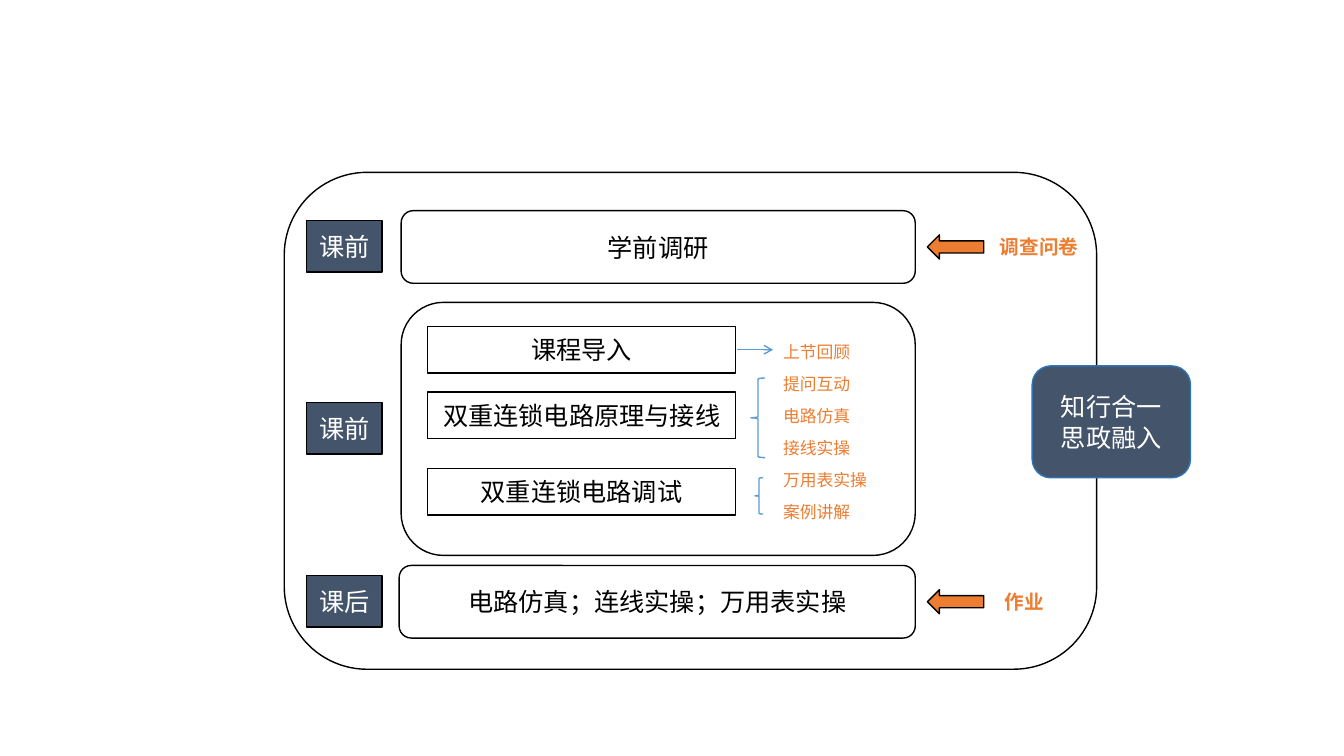
from collections import namedtuple
from dataclasses import dataclass

from pptx import Presentation
from pptx.dml.color import RGBColor
from pptx.enum import shapes, text
from pptx.oxml.ns import qn
from pptx.util import Inches, Pt
from lxml import etree

Box = namedtuple("Box", "left top width height")
SHAPE = shapes.MSO_SHAPE
CELL = Inches(0.1)


@dataclass(frozen=True)
class Theme:
    """Colours, type sizes and line width of the slide."""
    font: str = "Arial"
    ink: str = "000000"
    paper: str = "FFFFFF"
    navy: str = "44546A"
    edge: str = "2E75B6"
    orange: str = "ED7D31"
    blue: str = "5B9BD5"
    heading: int = 18
    caption: int = 14
    note: int = 12
    stroke: int = 1


THEME = Theme()


def grid(*cells):
    """Turn counts of grid cells into lengths."""
    return [round(cell * CELL) for cell in cells]


def inside(box, left, top, width, height):
    """Place a part relative to the corner of its region."""
    return Box(box.left + left, box.top + top, width, height)


def write(frame, words, size=THEME.heading, color=THEME.ink, bold=False, centred=True):
    """Fill a text frame, one paragraph per line of words."""
    frame.word_wrap = True
    frame.vertical_anchor = text.MSO_ANCHOR.MIDDLE if centred else text.MSO_ANCHOR.TOP
    for index, line in enumerate(words.split("\n")):
        paragraph = frame.add_paragraph() if index else frame.paragraphs[0]
        paragraph.alignment = text.PP_ALIGN.CENTER if centred else text.PP_ALIGN.LEFT
        run = paragraph.add_run()
        run.text = line
        run.font.name, run.font.size, run.font.bold = THEME.font, Pt(size), bold
        run.font.color.rgb = RGBColor.from_string(color)


def draw(slide, kind, box, words="", fill=None, line=THEME.ink, color=THEME.ink):
    """Draw a flat outlined shape with optional fill and words."""
    part = slide.shapes.add_shape(kind, *grid(*box))
    part.shadow.inherit = False
    if fill:
        part.fill.solid()
        part.fill.fore_color.rgb = RGBColor.from_string(fill)
    else:
        part.fill.background()
    part.line.color.rgb = RGBColor.from_string(line)
    part.line.width = Pt(THEME.stroke)
    if words:
        write(part.text_frame, words, color=color)


def label(slide, box, words, size, bold=False):
    """Write an orange left-aligned label."""
    frame = slide.shapes.add_textbox(*grid(*box)).text_frame
    write(frame, words, size, THEME.orange, bold, centred=False)


def link(slide, left, right, row):
    """Draw a level arrow between two columns."""
    arrow = slide.shapes.add_connector(
        shapes.MSO_CONNECTOR.STRAIGHT, *grid(left, row, right, row))
    arrow.line.color.rgb = RGBColor.from_string(THEME.blue)
    arrow.line.width = Pt(THEME.stroke)
    etree.SubElement(arrow.line._get_or_add_ln(), qn("a:tailEnd"), type="arrow")
    etree.SubElement(arrow._element.spPr, qn("a:effectLst"))


def stage_tag(slide, box, words):
    """Name the stage left of its region."""
    tag = Box(30.4, box.top + box.height / 2 - 2.6, 7.5, 5.1)
    draw(slide, SHAPE.RECTANGLE, tag, words, THEME.navy, color=THEME.paper)


def outer_stage(slide, box, stage, activity, source, source_left):
    """Draw a stage before or after class with its source."""
    middle = box.height / 2
    draw(slide, SHAPE.ROUNDED_RECTANGLE, box, activity)
    stage_tag(slide, box, stage)
    draw(slide, SHAPE.LEFT_ARROW,
         inside(box, box.width + 1.2, middle - 1.2, 5.6, 2.4), fill=THEME.orange)
    label(slide, inside(box, source_left - box.left, middle - 1.7, 34, 3.4),
          source, THEME.caption, bold=True)


def lesson_stage(slide, box, stage, steps, methods, braces):
    """Draw the lesson steps and the methods tied to them."""
    draw(slide, SHAPE.ROUNDED_RECTANGLE, box)
    stage_tag(slide, box, stage)
    for top, step in steps:
        draw(slide, SHAPE.RECTANGLE, inside(box, 2.6, top, 30.6, 4.6), step)
    link(slide, box.left + 33.3, box.left + 36.9, box.top + 4.7)
    for brace in braces:
        draw(slide, SHAPE.LEFT_BRACE, inside(box, *brace), line=THEME.blue)
    for index, method in enumerate(methods):
        label(slide, inside(box, 36.9, 3.4 + 3.18 * index, 44.4, 3),
              method, THEME.note)


def course_frame(slide, box, motto):
    """Draw the frame of the course and the motto on its edge."""
    draw(slide, SHAPE.ROUNDED_RECTANGLE, box)
    draw(slide, SHAPE.ROUNDED_RECTANGLE,
         inside(box, box.width - 6.4, 19.2, 15.7, 11.1), motto,
         THEME.navy, THEME.edge, THEME.paper)


def main():
    """Build and save the course slide."""
    deck = Presentation()
    deck.slide_width, deck.slide_height = grid(133.33, 75)
    slide = deck.slides.add_slide(deck.slide_layouts[6])
    course_frame(slide, Box(28.2, 17.1, 80.6, 49.3), "知行合一\n思政融入")
    outer_stage(slide, Box(39.8, 20.9, 51, 7.2), "课前", "学前调研", "调查问卷", 98.2)
    lesson_stage(
        slide, Box(39.8, 30, 51, 25.1), "课前",
        steps=[(2.4, "课程导入"), (8.9, "双重连锁电路原理与接线"),
               (16.5, "双重连锁电路调试")],
        methods=["上节回顾", "提问互动", "电路仿真", "接线实操", "万用表实操", "案例讲解"],
        braces=[(34.7, 7.5, 1.4, 7.9), (35.1, 17.4, 0.8, 3.6)])
    outer_stage(slide, Box(39.6, 56.1, 51.2, 7.2), "课后",
                "电路仿真；连线实操；万用表实操", "作业", 98.7)
    deck.save("out.pptx")


if __name__ == "__main__":
    main()
